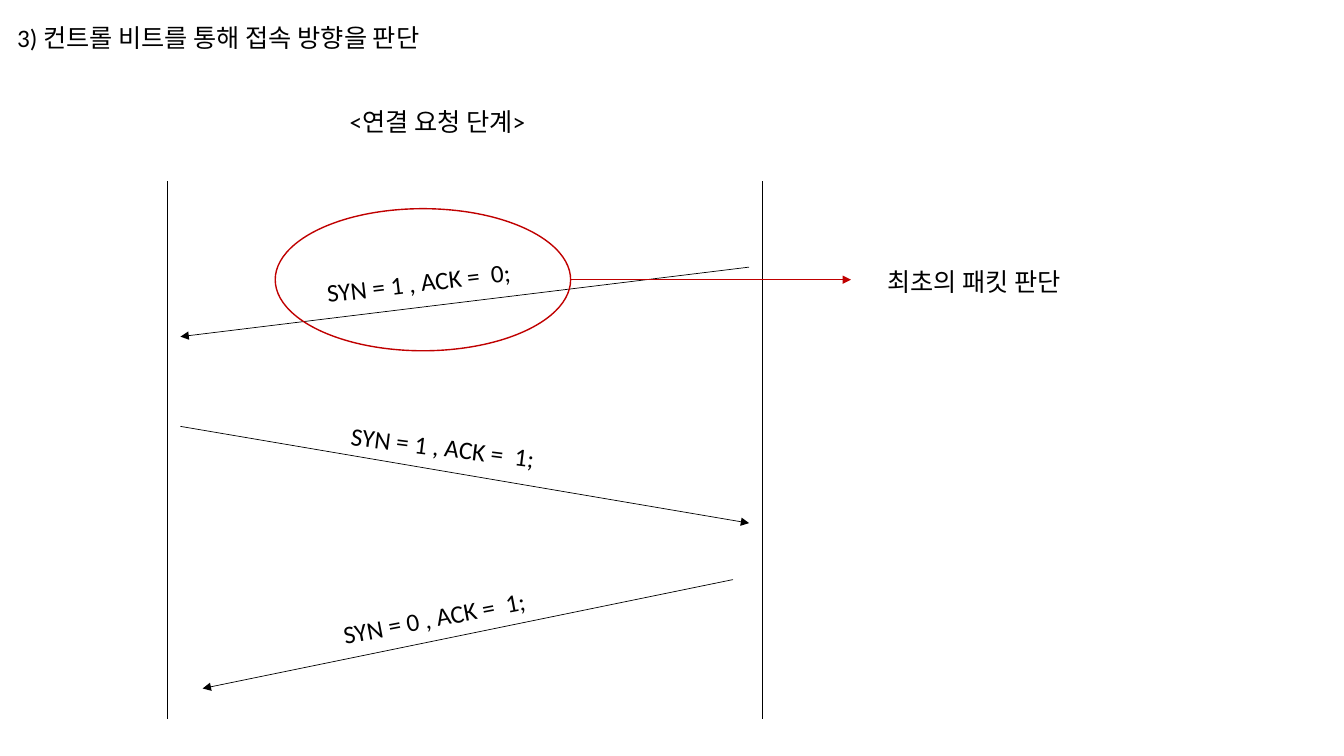
"""Builds a slide on telling the connection direction from TCP control bits."""
import pptx
import pptx.dml.color
import pptx.enum.shapes
import pptx.enum.text
import pptx.oxml
import pptx.util
import lxml.etree

Inches = pptx.util.Inches
BLACK, RED = "000000", "C00000"
TEXT_W, TEXT_H = 4.54, 0.4
CLIENT_X, SERVER_X = 1.66, 7.56
LIFELINE_TOP, LIFELINE_BOTTOM = 1.8, 7.13
RING_LEFT, RING_TOP, RING_W, RING_H = 2.73, 2.07, 2.93, 1.41

deck = pptx.Presentation()
deck.slide_width, deck.slide_height = Inches(13.33), Inches(7.5)
slide = deck.slides.add_slide(deck.slide_layouts[5])


def rgb(value):
    return pptx.dml.color.RGBColor.from_string(value)


def write(box, text, left, top, angle=0):
    placement = {"left": Inches(left), "top": Inches(top), "width": Inches(TEXT_W),
                 "height": Inches(TEXT_H), "rotation": angle}
    for key, value in placement.items():
        setattr(box, key, value)
    frame = box.text_frame
    frame.text = text
    layout = {"word_wrap": True, "auto_size": pptx.enum.text.MSO_AUTO_SIZE.SHAPE_TO_FIT_TEXT,
              "vertical_anchor": pptx.enum.text.MSO_ANCHOR.TOP,
              "margin_left": Inches(0.1), "margin_right": Inches(0.1),
              "margin_top": Inches(0.05), "margin_bottom": Inches(0.05)}
    for key, value in layout.items():
        setattr(frame, key, value)
    line = frame.paragraphs[0]
    line.alignment = pptx.enum.text.PP_ALIGN.LEFT
    font = line.runs[0].font
    font.name, font.size = "Calibri", pptx.util.Pt(18)
    font.color.rgb = rgb(BLACK)


write(slide.shapes.title, "3) 컨트롤 비트를 통해 접속 방향을 판단", 0.07, 0.17)

ring_middle = RING_TOP + RING_H / 2
lines = [
    (CLIENT_X, LIFELINE_TOP, CLIENT_X, LIFELINE_BOTTOM, BLACK, False),
    (SERVER_X, LIFELINE_TOP, SERVER_X, LIFELINE_BOTTOM, BLACK, False),
    (7.43, 2.65, 1.79, 3.34, BLACK, True),
    (1.79, 4.23, 7.43, 5.19, BLACK, True),
    (7.27, 5.75, 2.01, 6.83, BLACK, True),
    (RING_LEFT + RING_W, ring_middle, 8.44, ring_middle, RED, True),
]
for x1, y1, x2, y2, color, has_arrow in lines:
    message = slide.shapes.add_connector(
        pptx.enum.shapes.MSO_CONNECTOR.STRAIGHT, Inches(x1), Inches(y1), Inches(x2), Inches(y2))
    message.line.color.rgb = rgb(color)
    message.line.width = pptx.util.Pt(0.5)
    if has_arrow:
        stroke = message.line._get_or_add_ln()
        lxml.etree.SubElement(stroke, pptx.oxml.ns.qn("a:tailEnd"), type="triangle")
    lxml.etree.SubElement(message._element.spPr, pptx.oxml.ns.qn("a:effectLst"))

labels = [
    ("<연결 요청 단계>", 3.37, 1.01, 0),
    ("SYN = 1 , ACK =  0;", 3.13, 2.45, 353.2),
    ("SYN = 1 , ACK =  1;", 3.37, 4.39, 7.2),
    ("SYN = 0 , ACK =  1;", 3.27, 5.69, 349.2),
    ("최초의 패킷 판단", 8.7, 2.59, 0),
]
for text, left, top, angle in labels:
    write(slide.shapes.add_textbox(0, 0, 0, 0), text, left, top, angle)

first_packet_ring = slide.shapes.add_shape(
    pptx.enum.shapes.MSO_SHAPE.OVAL,
    Inches(RING_LEFT), Inches(RING_TOP), Inches(RING_W), Inches(RING_H))
first_packet_ring.shadow.inherit = False
first_packet_ring.fill.background()
first_packet_ring.line.color.rgb = rgb(RED)
first_packet_ring.line.width = pptx.util.Pt(1)

deck.save("out.pptx")
